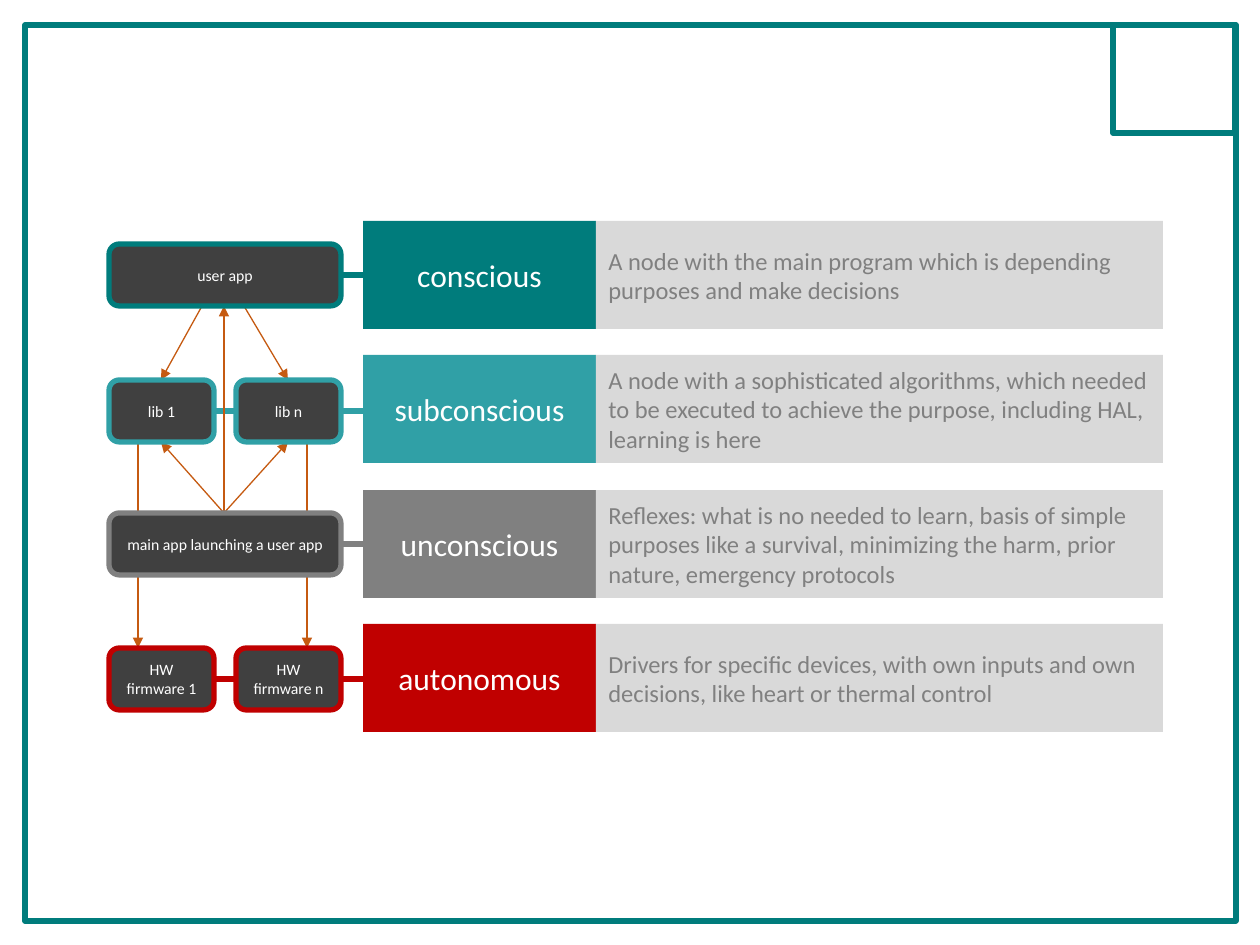
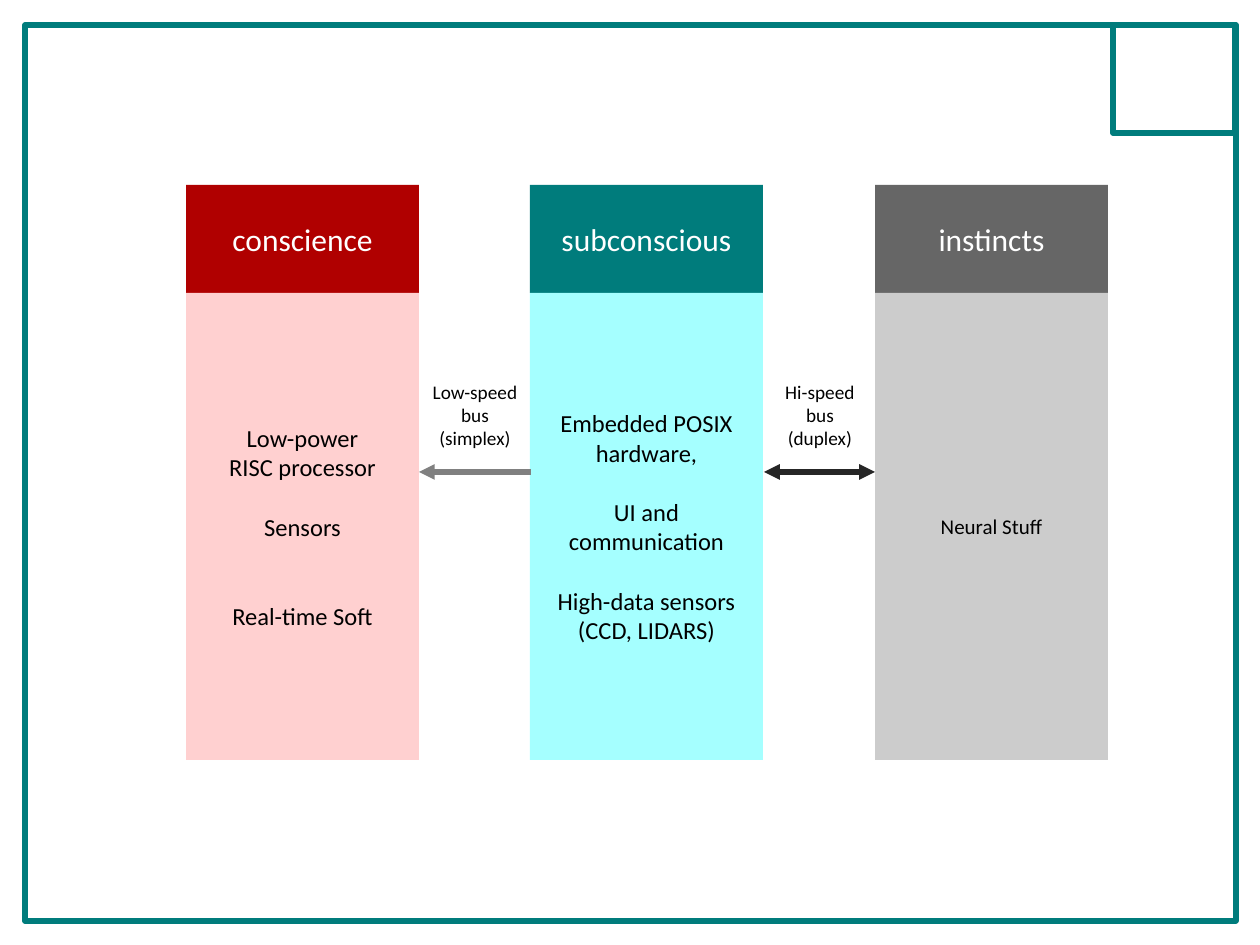
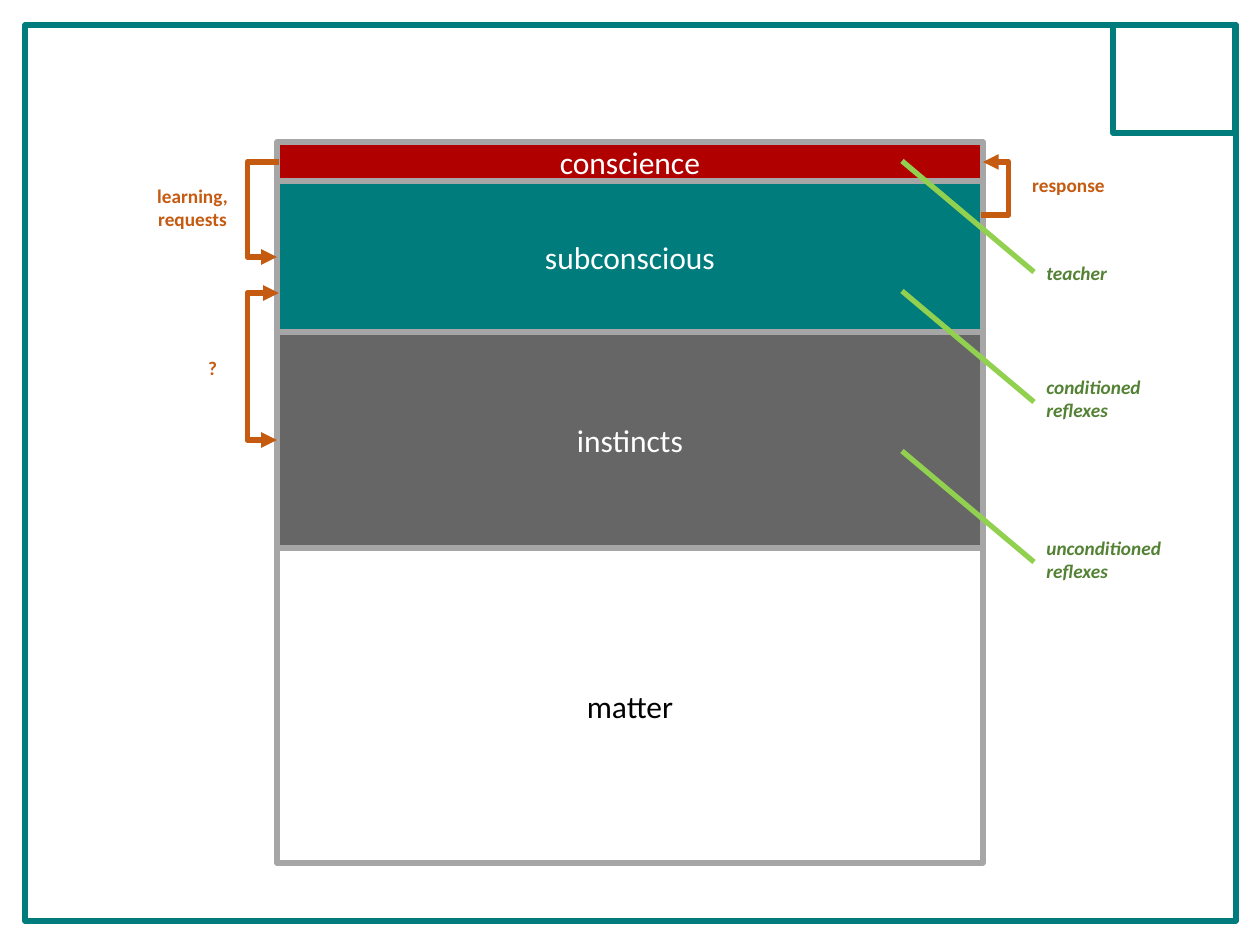
from lxml import etree
from pptx import Presentation
from pptx.dml.color import RGBColor
from pptx.enum.shapes import MSO_CONNECTOR, MSO_SHAPE
from pptx.enum.text import MSO_ANCHOR, PP_ALIGN
from pptx.oxml.ns import qn
from pptx.util import Emu, Inches, Pt

PIXEL = 914400 / 126
FONT = "Calibri"
RECT, NODE = MSO_SHAPE.RECTANGLE, MSO_SHAPE.FLOWCHART_ALTERNATE_PROCESS
STRAIGHT, ELBOW = MSO_CONNECTOR.STRAIGHT, MSO_CONNECTOR.ELBOW
LEFT, CENTER = PP_ALIGN.LEFT, PP_ALIGN.CENTER
MIDDLE, BOTTOM = MSO_ANCHOR.MIDDLE, MSO_ANCHOR.BOTTOM

TEAL, LIGHT_TEAL, GREY, RED = "007C7C", "30A0A6", "808080", "C00000"
DARK_RED, DARK_GREY, CHARCOAL = "B00000", "666666", "404040"
ORANGE, GREEN, LIME = "C55A11", "548235", "92D050"
WHITE, BLACK, PANEL, BORDER = "FFFFFF", "000000", "D9D9D9", "A6A6A6"
THICK, THIN = 3, 0.75
HEAD_WIDTH, HEAD_HEIGHT = 233, 108


def px(length):
    """Turn pixels into EMU."""
    return Emu(round(length * PIXEL))


def rgb(colour):
    """Turn a hex string into a colour."""
    return RGBColor.from_string(colour)


def put_text(shape, lines, size, colour, align=CENTER, anchor=MIDDLE,
             gaps=None, bold=False, italic=False):
    """Fill a shape with paragraphs; gaps maps a line number to space before."""
    frame = shape.text_frame
    frame.word_wrap = True
    frame.vertical_anchor = anchor
    frame.text = lines
    for number, paragraph in enumerate(frame.paragraphs):
        paragraph.alignment = align
        paragraph.space_before = Pt((gaps or {}).get(number, 0))
        for span in paragraph.runs:
            font = span.font
            font.name, font.size = FONT, Pt(size)
            font.bold, font.italic = bold, italic
            font.color.rgb = rgb(colour)


def add_box(page, bounds, fill=None, line=None, kind=RECT):
    """Add a preset shape, hollow or borderless when no colour is given."""
    box = page.shapes.add_shape(kind, *map(px, bounds))
    box.shadow.inherit = False
    if fill:
        box.fill.solid()
        box.fill.fore_color.rgb = rgb(fill)
    else:
        box.fill.background()
    if line:
        box.line.color.rgb = rgb(line)
        box.line.width = Pt(THICK)
    else:
        box.line.fill.background()
    return box


def add_header(page, left, top, text, fill):
    """Add a coloured block that names a layer of the mind."""
    box = add_box(page, (left, top, HEAD_WIDTH, HEAD_HEIGHT), fill)
    put_text(box, text, 18, WHITE)


def add_node(page, left, top, width, text, line):
    """Add a dark rounded software node."""
    box = add_box(page, (left, top, width, 62), CHARCOAL, line, NODE)
    put_text(box, text, 9, WHITE)


def add_label(page, bounds, text, colour, align=CENTER, **style):
    """Add a small free-standing label that sits on its lower edge."""
    box = page.shapes.add_textbox(*map(px, bounds))
    put_text(box, text, 11, colour, align, BOTTOM, **style)


def add_line(page, start, end, colour, width=THICK, head=False, tail=False,
             kind=STRAIGHT):
    """Add a connector, with arrowheads at its start (head) or end (tail)."""
    line = page.shapes.add_connector(kind, *map(px, (*start, *end)))
    line.line.color.rgb = rgb(colour)
    line.line.width = Pt(width)
    outline = line.line._get_or_add_ln()
    for name, wanted in (("a:headEnd", head), ("a:tailEnd", tail)):
        if wanted:
            etree.SubElement(outline, qn(name), type="triangle")
    etree.SubElement(line._element.spPr, qn("a:effectLst"))
    return line


def add_bracket(page, start, end, bend, head=False):
    """Add an elbow arrow that runs out to x = bend and comes back."""
    line = add_line(page, start, end, ORANGE, head=head, tail=True, kind=ELBOW)
    ratio = (bend - start[0]) / (end[0] - start[0])
    guides = line._element.spPr.find(qn("a:prstGeom")).get_or_add_avLst()
    etree.SubElement(guides, qn("a:gd"), name="adj1",
                     fmla=f"val {round(ratio * 100000)}")


def add_page(deck):
    """Add a blank page with the teal frame and its corner square."""
    page = deck.slides.add_slide(deck.slide_layouts[6])
    add_box(page, (25, 25, 1211, 896), line=TEAL)
    add_box(page, (1113, 25, 122, 108), line=TEAL)
    return page


def build_layers(page):
    """Software nodes beside the four layers they belong to."""
    rows = [
        ("conscious", TEAL, 244, ["user app"],
         "A node with the main program which is depending purposes and make "
         "decisions"),
        ("subconscious", LIGHT_TEAL, 380, ["lib 1", "lib n"],
         "A node with a sophisticated algorithms, which needed to be executed "
         "to achieve the purpose, including HAL, learning is here"),
        ("unconscious", GREY, 513, ["main app launching a user app"],
         "Reflexes: what is no needed to learn, basis of simple purposes like "
         "a survival, minimizing the harm, prior nature, emergency protocols"),
        ("autonomous", RED, 648, ["HW firmware 1", "HW firmware n"],
         "Drivers for specific devices, with own inputs and own decisions, "
         "like heart or thermal control"),
    ]
    for index, (name, colour, node_top, nodes, detail) in enumerate(rows):
        top = round(221 + index * 134.4)
        center = node_top + 31
        add_line(page, (363, center), (214 if len(nodes) > 1 else 341, center),
                 colour)
        add_header(page, 363, top, name, colour)
        panel = add_box(page, (596, top, 567, HEAD_HEIGHT), PANEL)
        put_text(panel, detail, 14, GREY, LEFT)

    arrows = [((224, 513), (224, 306)), ((224, 513), (288, 442)),
              ((224, 513), (161, 442)), ((244, 306), (288, 380)),
              ((202, 306), (161, 380)), ((307, 442), (307, 648)),
              ((138, 442), (138, 648))]
    for start, end in arrows:
        add_line(page, start, end, ORANGE, THIN, tail=True)

    for _, colour, node_top, nodes, _ in rows:
        width = 232 if len(nodes) == 1 else 105
        for column, text in enumerate(nodes):
            add_node(page, 109 + column * 127, node_top, width, text, colour)


def build_hardware(page):
    """Three hardware columns joined by two buses."""
    columns = [
        ("conscience", DARK_RED, "FFD0D0", 14, {2: 17, 3: 34},
         "Low-power\nRISC processor\nSensors\nReal-time Soft"),
        ("subconscious", TEAL, "A5FFFF", 14, {1: 17, 2: 17},
         "Embedded POSIX hardware,\nUI and communication\n"
         "High-data sensors (CCD, LIDARS)"),
        ("instincts", DARK_GREY, "CCCCCC", 12, {}, "Neural Stuff"),
    ]
    for index, (name, dark, light, size, gaps, text) in enumerate(columns):
        left = round(186 + index * 344.5)
        add_header(page, left, 185, name, dark)
        body = add_box(page, (left, 293, HEAD_WIDTH, 467), light)
        put_text(body, text, size, BLACK, gaps=gaps)

    add_line(page, (531, 472), (419, 472), GREY, tail=True)
    add_line(page, (764, 472), (875, 472), "262626", head=True, tail=True)
    for left, text in ((419, "Low-speed\nbus\n(simplex)"),
                       (764, "Hi-speed\nbus\n(duplex)")):
        add_label(page, (left, 350, 112, 106), text, BLACK)


def build_stack(page):
    """The stacked layers with their exchanges and callouts."""
    layers = [("conscience", DARK_RED, WHITE, 142, 181),
              ("subconscious", TEAL, WHITE, 181, 332),
              ("instincts", DARK_GREY, WHITE, 332, 548),
              ("matter", WHITE, BLACK, 548, 863)]
    for name, fill, colour, top, bottom in layers:
        box = add_box(page, (277, top, 706, bottom - top), fill, BORDER)
        put_text(box, name, 18, colour)

    add_bracket(page, (279, 162), (277, 257), 247)
    add_bracket(page, (279, 293), (277, 440), 247, head=True)
    add_bracket(page, (981, 215), (983, 162), 1009)
    for bounds, text in (((113, 178, 159, 59), "learning,\nrequests"),
                         ((989, 166, 159, 37), "response"),
                         ((178, 349, 69, 37), "?")):
        add_label(page, bounds, text, ORANGE, bold=True)

    callouts = [("teacher", 161, 255, 36),
                ("conditioned reflexes", 291, 369, 59),
                ("unconditioned reflexes", 451, 530, 59)]
    for text, line_top, top, height in callouts:
        add_line(page, (902, line_top), (1034, line_top + 111), LIME)
        add_label(page, (1034, top, 159, height), text, GREEN, LEFT,
                  bold=True, italic=True)


def main():
    """Build the three pages and save the deck."""
    deck = Presentation()
    deck.slide_width, deck.slide_height = Inches(10), Inches(7.5)
    for build in (build_layers, build_hardware, build_stack):
        build(add_page(deck))
    deck.save("out.pptx")


main()
